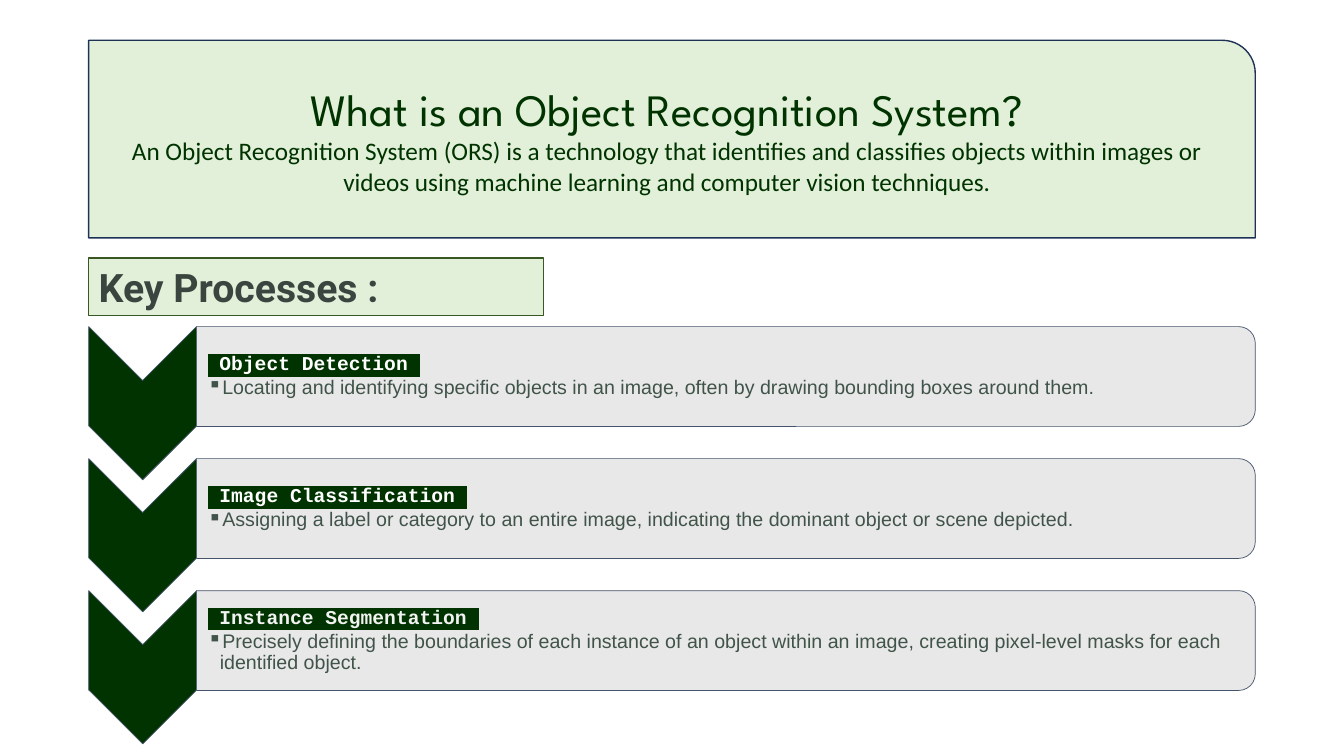
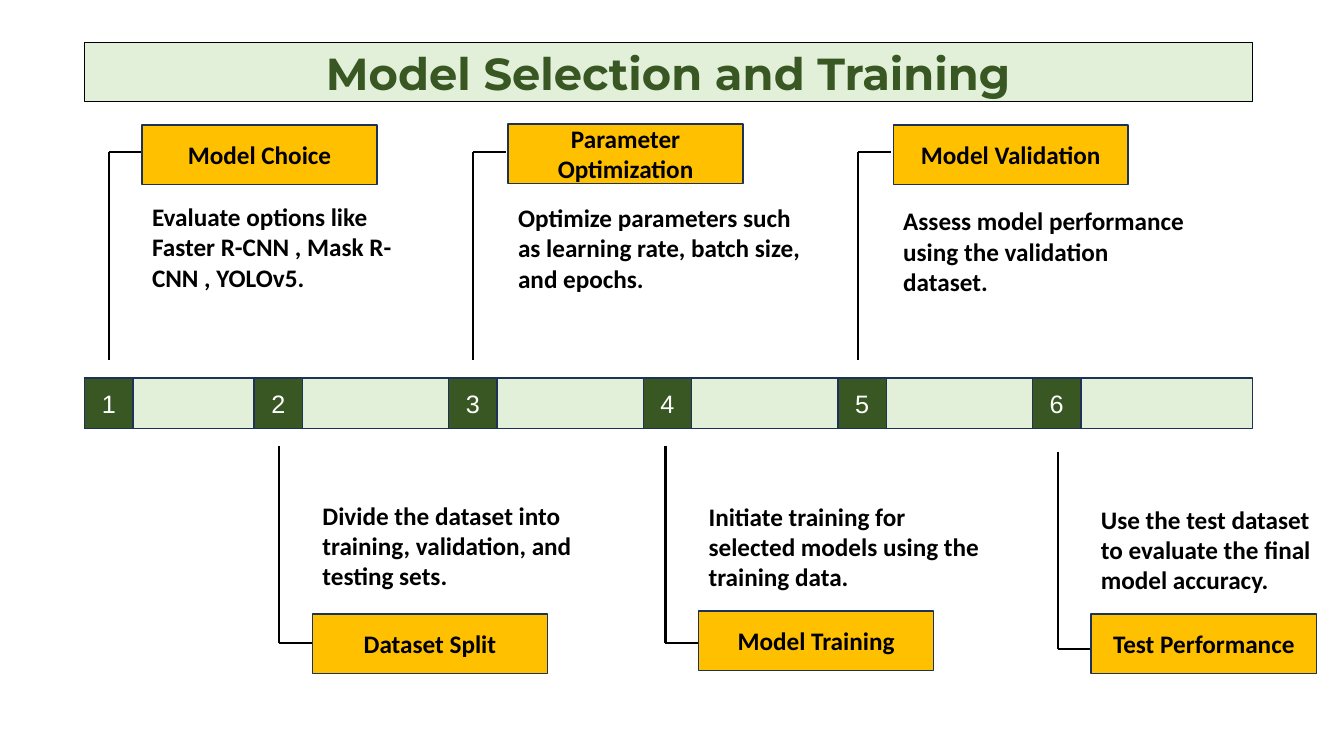
from dataclasses import dataclass

from lxml.etree import SubElement
from pptx import Presentation
from pptx.dml.color import RGBColor
from pptx.enum.shapes import MSO_CONNECTOR, MSO_SHAPE
from pptx.enum.text import MSO_ANCHOR, PP_ALIGN
from pptx.oxml.ns import qn
from pptx.util import Inches, Pt


@dataclass(frozen=True)
class Theme:
    pale_green: str = "E2F0D9"
    leaf_green: str = "385723"
    dark_green: str = "003300"
    navy: str = "1E3256"
    slate: str = "44546A"
    card_gray: str = "E7E6E6"
    text_gray: str = "405449"
    heading_gray: str = "3B4540"
    off_white: str = "F2F2F2"
    amber: str = "FFC000"
    black: str = "000000"
    white: str = "FFFFFF"
    title_size: int = 32
    heading_size: int = 28
    body_size: int = 18
    process_size: int = 14


THEME = Theme()


def text_format(name, size, color, bold=False):
    return {"name": name, "size": Pt(size), "bold": bold}, color


QUESTION = text_format("League Spartan", THEME.title_size, THEME.dark_green)
DEFINITION = text_format("Calibri", THEME.body_size, THEME.dark_green)
SECTION = text_format("Roboto", THEME.heading_size, THEME.heading_gray, True)
TITLE = text_format("Montserrat", THEME.title_size, THEME.leaf_green, True)
NUMBER = text_format("Arial", THEME.body_size, THEME.white)
STEP = text_format("Calibri", THEME.body_size, THEME.black, True)
DETAIL = text_format("Arial", THEME.process_size, THEME.text_gray)

PROCESSES = [
    ("Object Detection", THEME.white,
     "Locating and identifying specific objects in an image, often by drawing "
     "bounding boxes around them."),
    ("Image Classification", THEME.white,
     "Assigning a label or category to an entire image, indicating the dominant "
     "object or scene depicted."),
    ("Instance Segmentation", THEME.off_white,
     "Precisely defining the boundaries of each instance of an object within an "
     "image, creating pixel-level masks for each identified object."),
]

STEPS = [
    ("Model Choice", "Evaluate options like Faster R-CNN , Mask R-CNN , YOLOv5.",
     (1.08, 3.57, 1.51), (1.41, 1.24, 2.33), (1.95, 2.96)),
    ("Dataset Split", "Divide the dataset into training, validation, and testing sets.",
     (2.77, 4.42, 6.38), (3.1, 6.09, 2.33), (4.91, 2.96)),
    ("Parameter Optimization",
     "Optimize parameters such as learning rate, batch size, and epochs.",
     (4.69, 3.57, 1.51), (5.04, 1.23, 2.33), (1.96, 3.13)),
    ("Model Training", "Initiate training for selected models using the training data.",
     (6.6, 4.42, 6.38), (6.93, 6.06, 2.33), (4.92, 2.96)),
    ("Model Validation", "Assess model performance using the validation dataset.",
     (8.51, 3.57, 1.51), (8.86, 1.24, 2.33), (1.99, 3.07)),
    ("Test Performance", "Use the test dataset to evaluate the final model accuracy.",
     (10.49, 4.48, 6.44), (10.82, 6.09, 2.24), (4.95, 2.33)),
]


class Deck:
    def __init__(self):
        self.presentation = Presentation()
        self.presentation.slide_width = Inches(13.33)
        self.presentation.slide_height = Inches(7.5)
        self.slide = None

    def new_slide(self):
        blank = self.presentation.slide_layouts[6]
        self.slide = self.presentation.slides.add_slide(blank)

    def add_text(self, paragraph, text, style):
        values, color = style
        run = paragraph.add_run()
        run.text = text
        for attribute, value in values.items():
            setattr(run.font, attribute, value)
        run.font.color.rgb = RGBColor.from_string(color)
        return run

    def highlight(self, run, color):
        properties = run.font._element
        mark = SubElement(properties, qn("a:highlight"))
        SubElement(mark, qn("a:srgbClr"), val=color)
        properties.find(qn("a:solidFill")).addnext(mark)

    def box(self, bounds, fill, line=THEME.navy, weight=1, kind=MSO_SHAPE.RECTANGLE,
            quarter_turn=False, alpha=None):
        left, top, width, height = bounds
        if quarter_turn:
            left += (width - height) / 2
            top += (height - width) / 2
            width, height = height, width
        shape = self.slide.shapes.add_shape(
            kind, *(Inches(length) for length in (left, top, width, height)))
        shape.rotation = 90 if quarter_turn else 0
        shape.shadow.inherit = False
        shape.fill.solid()
        shape.fill.fore_color.rgb = RGBColor.from_string(fill)
        shape.line.color.rgb = RGBColor.from_string(line)
        shape.line.width = Pt(weight)
        if alpha:
            solid = shape._element.spPr.find(qn("a:solidFill"))
            SubElement(solid[0], qn("a:alpha"), val=str(alpha * 1000))
        return shape

    def label(self, bounds, lines, fill, align=PP_ALIGN.CENTER, **outline):
        frame = self.box(bounds, fill, **outline).text_frame
        frame.word_wrap = True
        frame.vertical_anchor = MSO_ANCHOR.MIDDLE
        paragraph = frame.paragraphs[0]
        paragraph.alignment = align
        for position, (text, style) in enumerate(lines):
            if position:
                paragraph.add_line_break()
            self.add_text(paragraph, text, style)

    def text_frame(self, bounds, **settings):
        frame = self.slide.shapes.add_textbox(
            *(Inches(length) for length in bounds)).text_frame
        frame.word_wrap = True
        for attribute, value in settings.items():
            setattr(frame, attribute, value)
        return frame

    def note(self, bounds, text):
        self.add_text(self.text_frame(bounds).paragraphs[0], text, STEP)

    def line(self, *ends):
        connector = self.slide.shapes.add_connector(
            MSO_CONNECTOR.STRAIGHT, *(Inches(length) for length in ends))
        connector.line.color.rgb = RGBColor.from_string(THEME.black)
        connector.line.width = Pt(1.5)
        SubElement(connector._element.spPr, qn("a:effectLst"))

    def process(self, top, name, name_color, detail):
        self.box((0.88, top, 1.07, 1.52), THEME.dark_green, THEME.slate, 0.5,
                 MSO_SHAPE.CHEVRON, quarter_turn=True)
        self.box((1.95, top, 10.5, 0.99), THEME.card_gray, THEME.slate, 0.5,
                 MSO_SHAPE.ROUND_2_SAME_RECTANGLE, quarter_turn=True, alpha=90)
        frame = self.text_frame(
            (1.95, top + 0.05, 10.46, 0.89), vertical_anchor=MSO_ANCHOR.MIDDLE,
            margin_left=Inches(0.11), margin_top=Inches(0.01),
            margin_right=Inches(0.01), margin_bottom=Inches(0.01))
        heading, description = frame.paragraphs[0], frame.add_paragraph()
        for paragraph in (heading, description):
            paragraph.level = 1
            paragraph.line_spacing = 0.9
            paragraph.space_after = Pt(2)
            properties = paragraph._p.get_or_add_pPr()
            properties.set("marL", str(Inches(0.12)))
            properties.set("indent", str(Inches(-0.12)))
        SubElement(description._p.pPr, qn("a:buChar"), char="▪")
        heading_style = text_format("Courier New", THEME.process_size, name_color, True)
        heading_run = self.add_text(heading, f" {name} ", heading_style)
        self.highlight(heading_run, THEME.dark_green)
        self.add_text(description, detail, DETAIL)

    def step(self, name, detail, stem, tag, note):
        stem_x, start, end = stem
        left, top, width = tag
        note_top, note_width = note
        self.line(stem_x, start, stem_x, end)
        self.line(stem_x, end, stem_x + 0.33, end)
        self.label((left, top, width, 0.59), [(name, STEP)], THEME.amber)
        self.note((left, note_top, note_width, 1.01), detail)


def build_overview(deck):
    deck.new_slide()
    deck.label(
        (0.88, 0.4, 11.57, 1.96),
        [("What is an Object Recognition System?", QUESTION),
         ("An Object Recognition System (ORS) is a technology that identifies and "
          "classifies objects within images or videos using machine learning and "
          "computer vision techniques.", DEFINITION)],
        THEME.pale_green, kind=MSO_SHAPE.ROUND_1_RECTANGLE)
    for row, process in enumerate(PROCESSES):
        deck.process(3.24 + 1.31 * row, *process)
    deck.label((0.88, 2.56, 4.51, 0.57), [("Key Processes :", SECTION)],
               THEME.pale_green, PP_ALIGN.LEFT, line=THEME.leaf_green, weight=0.75)


def build_training(deck):
    deck.new_slide()
    deck.label((0.84, 0.42, 11.58, 0.59), [("Model Selection and Training", TITLE)],
               THEME.pale_green, line=THEME.black)
    deck.box((0.84, 3.75, 11.58, 0.5), THEME.pale_green)
    for index, step in enumerate(STEPS):
        marker_left = 2.52 + 1.93 * (index - 1) if index else 0.84
        deck.label((marker_left, 3.75, 0.48, 0.5), [(str(index + 1), NUMBER)],
                   THEME.leaf_green)
        deck.step(*step)


def main():
    deck = Deck()
    build_overview(deck)
    build_training(deck)
    deck.presentation.save("out.pptx")


if __name__ == "__main__":
    main()
